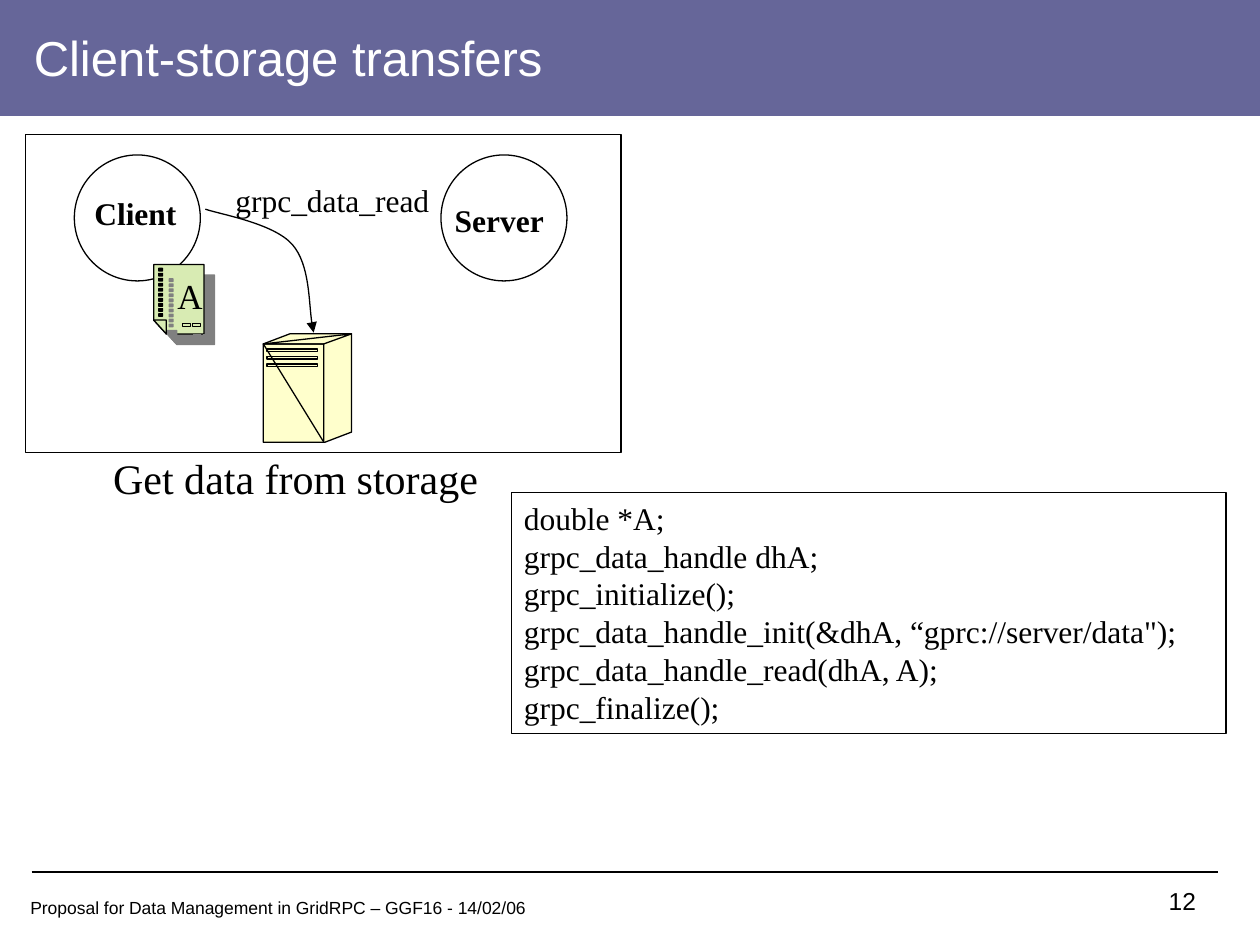
from dataclasses import dataclass

from lxml.etree import SubElement
from pptx import Presentation
from pptx.dml.color import RGBColor
from pptx.enum.shapes import MSO_CONNECTOR, MSO_SHAPE
from pptx.enum.text import MSO_ANCHOR, PP_ALIGN
from pptx.oxml.ns import qn
from pptx.util import Inches, Pt

COLORS = {
    "band": "666699",
    "title": "FFFFFF",
    "ink": "000000",
    "disk": "FFFFCC",
    "page": "D8EBB3",
    "shade": "808080",
}
SANS, SERIF = "Arial", "Times New Roman"
Point = tuple[float, float]
Box = tuple[float, float, float, float]


@dataclass
class Label:
    text: str
    box: Box
    size: float
    font: str = SERIF
    bold: bool = False
    color: str = "ink"
    align: PP_ALIGN = PP_ALIGN.LEFT
    anchor: MSO_ANCHOR = MSO_ANCHOR.TOP
    wrap: bool = True
    spacing: float = 1.0


@dataclass
class Outline:
    kind: MSO_SHAPE
    box: Box
    fill: str | None = None
    line: str | None = "ink"


LABELS = [
    Label("12", (8.92, 7, 0.67, 0.33), 14, SANS, align=PP_ALIGN.RIGHT, spacing=0.96),
    Label("Proposal for Data Management in GridRPC – GGF16 - 14/02/06",
          (0.08, 7.08, 4.25, 0.42), 10, SANS, align=PP_ALIGN.CENTER, spacing=0.96),
    Label("Client-storage transfers", (0.17, 0.15, 8.5, 0.61), 28, SANS,
          color="title", anchor=MSO_ANCHOR.MIDDLE),
    Label("Client", (0.65, 1.49, 0.85, 0.4), 18, bold=True, wrap=False),
    Label("Server", (3.51, 1.55, 0.91, 0.4), 18, bold=True, wrap=False),
    Label("A", (1.31, 2.13, 0.27, 0.44), 20),
    Label("grpc_data_read", (1.77, 1.39, 1.74, 0.4), 18, wrap=False),
    Label("""double *A;
grpc_data_handle dhA;
grpc_initialize();
grpc_data_handle_init(&dhA, “gprc://server/data");
grpc_data_handle_read(dhA, A);
grpc_finalize();""", (4.06, 3.91, 5.67, 1.9), 18),
    Label("Get data from storage", (0.8, 3.54, 3.1, 0.5), 24, wrap=False),
]

OUTLINES = [
    Outline(MSO_SHAPE.RECTANGLE, (0, 0, 10, 0.92), "band", None),
    Outline(MSO_SHAPE.RECTANGLE, (0.2, 1.07, 4.73, 2.52)),
    Outline(MSO_SHAPE.OVAL, (0.59, 1.23, 1, 1)),
    Outline(MSO_SHAPE.OVAL, (3.5, 1.23, 1, 1)),
    Outline(MSO_SHAPE.RECTANGLE, (4.06, 3.91, 5.67, 1.91)),
]


def rgb(name: str) -> RGBColor:
    return RGBColor.from_string(COLORS[name])


def paint(sp, fill: str | None, line: str | None) -> None:
    sp.shadow.inherit = False
    if fill:
        sp.fill.solid()
        sp.fill.fore_color.rgb = rgb(fill)
    else:
        sp.fill.background()
    if line:
        sp.line.color.rgb = rgb(line)
        sp.line.width = Pt(0.75)
    else:
        sp.line.fill.background()


def add_label(s, label: Label) -> None:
    tf = s.shapes.add_textbox(*map(Inches, label.box)).text_frame
    tf.word_wrap = label.wrap
    tf.vertical_anchor = label.anchor
    font_values = {"size": Pt(label.size), "name": label.font, "bold": label.bold}
    for i, text in enumerate(label.text.split("\n")):
        p = tf.add_paragraph() if i else tf.paragraphs[0]
        p.alignment = label.align
        p.line_spacing = label.spacing
        r = p.add_run()
        r.text = text
        for name, value in font_values.items():
            setattr(r.font, name, value)
        r.font.color.rgb = rgb(label.color)


def add_outline(s, outline: Outline) -> None:
    sp = s.shapes.add_shape(outline.kind, *map(Inches, outline.box))
    paint(sp, outline.fill, outline.line)


def add_freeform(s, contours: list[list[Point]], fill: str | None = None,
                 close: bool = True):
    emu = [[(Inches(x), Inches(y)) for x, y in points] for points in contours]
    builder = s.shapes.build_freeform(*emu[0][0], scale=1.0)
    for i, points in enumerate(emu):
        if i:
            builder.move_to(*points[0])
        builder.add_line_segments(points[1:], close=close)
    sp = builder.convert_to_shape()
    paint(sp, fill, "ink")
    return sp


def add_curved_arrow(s, points: list[Point]) -> None:
    """Draw a start point followed by triples of Bezier points."""
    sp = add_freeform(s, [points], close=False)
    path = next(sp._element.iter(qn("a:path")))
    segments = path.findall(qn("a:lnTo"))
    for i in range(0, len(segments), 3):
        curve = SubElement(path, qn("a:cubicBezTo"))
        for segment in segments[i:i + 3]:
            curve.append(segment[0])
            path.remove(segment)
    SubElement(sp.line._get_or_add_ln(), qn("a:tailEnd"), type="triangle")


def add_page_part(s, points: list[Point]) -> None:
    sp = add_freeform(s, [points], "page")
    effects = sp._element.spPr.find(qn("a:effectLst"))
    shadow = SubElement(effects, qn("a:outerShdw"), dist=str(Pt(8.5)),
                        dir=str(45 * 60000), algn="ctr", rotWithShape="0")
    SubElement(shadow, qn("a:srgbClr"), val=COLORS["shade"])


def rectangle(x: float, y: float, w: float, h: float) -> list[Point]:
    return [(x, y), (x + w, y), (x + w, y + h), (x, y + h)]


def add_storage(s) -> None:
    add_freeform(s, [[(2.09, 2.73), (2.3, 2.65), (2.79, 2.65), (2.79, 3.43),
                      (2.58, 3.51), (2.09, 3.51)]], "disk")
    edges = [[(2.09, 2.73), (2.57, 2.73), (2.79, 2.65)],
             [(2.09, 2.73), (2.57, 2.73), (2.57, 3.51)]]
    slots = [rectangle(2.12, 2.77 + 0.06 * i, 0.4, 0.02) for i in range(3)]
    add_freeform(s, edges + slots)


def add_document(s) -> None:
    add_page_part(s, [(1.62, 2.65), (1.32, 2.65), (1.22, 2.54), (1.22, 2.1), (1.62, 2.1)])
    add_page_part(s, [(1.22, 2.54), (1.32, 2.54), (1.32, 2.65)])
    for x in (1.45, 1.53):
        add_page_part(s, rectangle(x, 2.57, 0.06, 0.02))
    # Check marks down the margin
    mark = [(0, 0), (0.03, 0), (0.01, 0.01), (0, 0.01), (0.01, 0.02),
            (0.03, 0), (0.03, 0.02), (0, 0.02)]
    for i in range(10):
        add_page_part(s, [(1.26 + dx, 2.13 + 0.04 * i + dy) for dx, dy in mark])


def add_footer_rule(s) -> None:
    rule = s.shapes.add_connector(MSO_CONNECTOR.STRAIGHT, Inches(0.25), Inches(6.92),
                                  Inches(9.67), Inches(6.92))
    rule.line.color.rgb = rgb("ink")
    rule.line.width = Pt(1.25)
    SubElement(rule._element.spPr, qn("a:effectLst"))


def main() -> None:
    prs = Presentation()
    prs.slide_width, prs.slide_height = Inches(10), Inches(7.5)
    s = prs.slides.add_slide(prs.slide_layouts[6])

    # Band, frames and circles
    for outline in OUTLINES:
        add_outline(s, outline)
    add_footer_rule(s)

    # Transfer from storage to client
    add_curved_arrow(s, [(1.63, 1.66), (1.74, 1.7), (2.17, 1.77), (2.32, 1.94),
                         (2.46, 2.1), (2.45, 2.49), (2.49, 2.64)])
    add_storage(s)
    add_document(s)

    # Text
    for label in LABELS:
        add_label(s, label)
    prs.save("out.pptx")


if __name__ == "__main__":
    main()
